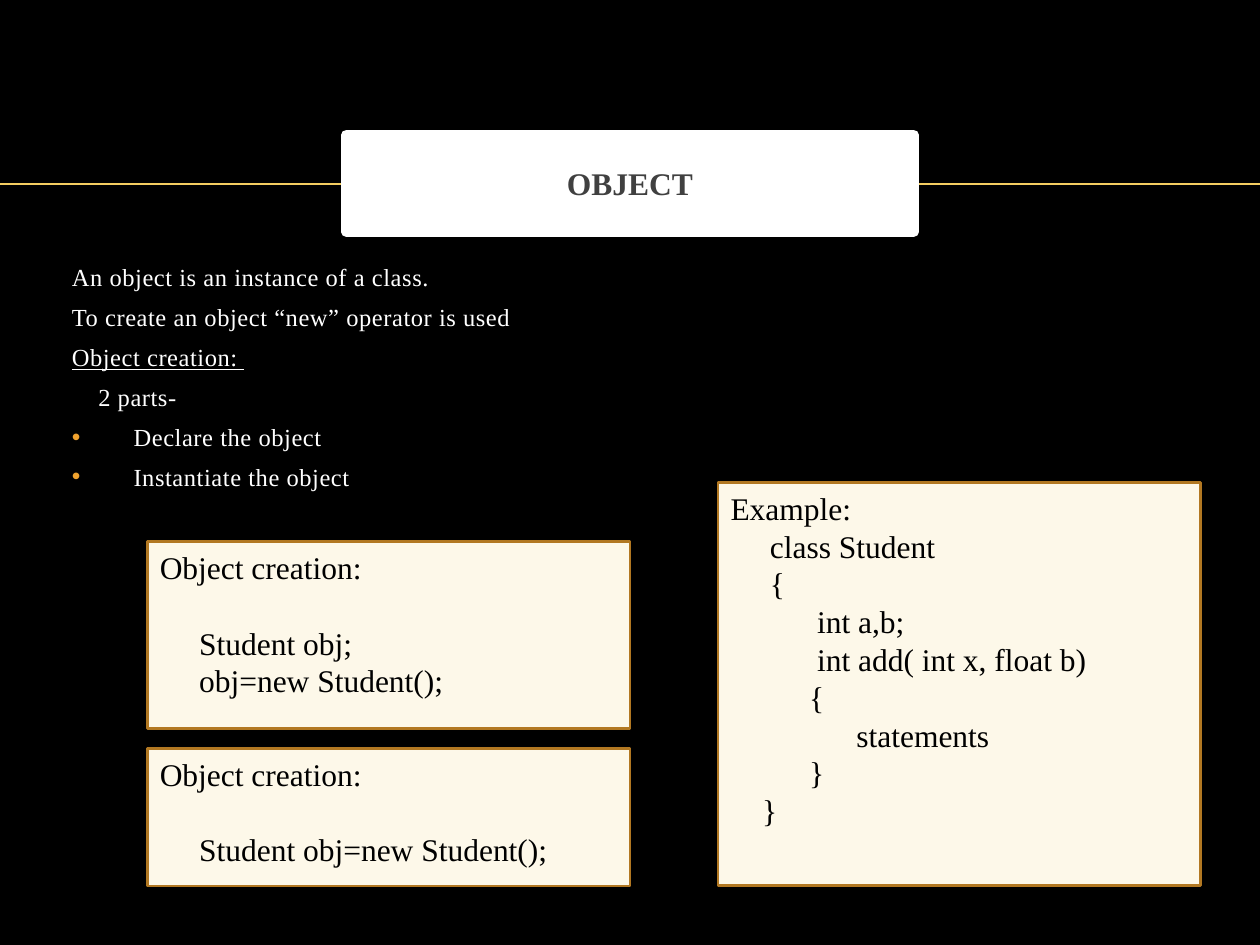
import pptx
import pptx.util
import pptx.dml.color
import pptx.enum.shapes
import pptx.enum.text
import pptx.oxml.ns
from lxml import etree

HUES = {"back": "000000", "gold": "F3CD60", "white": "FFFFFF", "title": "404040",
        "bullet": "F0A22E", "cream": "FDF8E9", "edge": "B27822", "ink": "000000"}
COLS, ROWS = 100, 75
BOX_COLS, LEFT, RIGHT, BASE = 38.3, 11.7, 57, 70.3

FACTS = [
    # text, indent in inches, underlined, bulleted
    ("An object is an instance of a class.", 0, False, False),
    ("To create an object “new” operator is used", 0, False, False),
    ("Object creation: ", 0, True, False),
    ("2 parts-", 0.21, False, False),
    ("Declare the object", 0.49, False, True),
    ("Instantiate the object", 0.49, False, True),
]

EXAMPLE = """Example:
     class Student
     {
           int a,b;
           int add( int x, float b)
          {
                statements
          }
    }"""
TWO_STEP = """Object creation:
     Student obj;
     obj=new Student();"""
ONE_STEP = """Object creation:
     Student obj=new Student();"""


def tint(name):
    return pptx.dml.color.RGBColor.from_string(HUES[name])


class Deck:
    def __init__(self):
        self.file = pptx.Presentation()
        self.file.slide_width = pptx.util.Inches(10)
        self.file.slide_height = pptx.util.Inches(7.5)
        self.page = self.file.slides.add_slide(self.file.slide_layouts[1])
        fill = self.page.background.fill
        fill.solid()
        fill.fore_color.rgb = tint("back")

    def span(self, *cells):
        """Turn column, row pairs of the grid into slide lengths."""
        units = (self.file.slide_width / COLS, self.file.slide_height / ROWS)
        return [round(cell * units[i % 2]) for i, cell in enumerate(cells)]

    def place(self, shape, *cells):
        shape.left, shape.top, shape.width, shape.height = self.span(*cells)

    def paint(self, shape, fill, line, width):
        shape.fill.solid()
        shape.fill.fore_color.rgb = tint(fill)
        shape.line.color.rgb = tint(line)
        shape.line.width = pptx.util.Pt(width)

    def style(self, para, size, hue, bold=False, under=False):
        for run in para.runs:
            font = run.font
            font.name, font.size = "Times New Roman", pptx.util.Pt(size)
            font.bold, font.underline = bold, under
            font.color.rgb = tint(hue)

    def rule(self, row):
        """Draw a line across the slide, behind everything else."""
        line = self.page.shapes.add_connector(
            pptx.enum.shapes.MSO_CONNECTOR.STRAIGHT, *self.span(0, row, COLS, row))
        line.line.color.rgb = tint("gold")
        line.line.width = pptx.util.Pt(1)
        etree.SubElement(line._element.spPr, pptx.oxml.ns.qn("a:effectLst"))
        self.page.shapes._spTree.insert(2, line._element)

    def title(self, text, *cells):
        shape = self.page.shapes.title
        self.place(shape, *cells)
        self.paint(shape, "white", "white", 6)
        frame = shape.text_frame
        frame.text = text
        frame.auto_size = pptx.enum.text.MSO_AUTO_SIZE.NONE
        frame.vertical_anchor = pptx.enum.text.MSO_ANCHOR.MIDDLE
        para = frame.paragraphs[0]
        para.alignment = pptx.enum.text.PP_ALIGN.CENTER
        self.style(para, 18, "title", bold=True)

    def mark(self, para, inset, bullet):
        """Set the indent of a paragraph and its bullet, if any."""
        props = para._p.get_or_add_pPr()
        room = pptx.util.Inches(inset)
        props.set("marL", str(room))
        props.set("indent", str(-room if bullet else 0))
        qn = pptx.oxml.ns.qn
        if bullet:
            hue = etree.SubElement(props, qn("a:buClr"))
            etree.SubElement(hue, qn("a:srgbClr")).set("val", HUES["bullet"])
            etree.SubElement(props, qn("a:buChar")).set("char", "•")
        else:
            etree.SubElement(props, qn("a:buNone"))

    def body(self, facts, *cells):
        shape = self.page.placeholders[1]
        self.place(shape, *cells)
        frame = shape.text_frame
        frame.text = "\n".join(fact[0] for fact in facts)
        frame.auto_size = pptx.enum.text.MSO_AUTO_SIZE.NONE
        for i, (para, fact) in enumerate(zip(frame.paragraphs, facts)):
            text, inset, under, bullet = fact
            self.mark(para, inset, bullet)
            para.space_before = pptx.util.Pt(6 if i else 0)
            self.style(para, 14, "white", under=under)
            for run in para.runs:
                run._r.get_or_add_rPr().set("spc", "30")

    def code(self, text, left, top, gap=0):
        """Add a code box down to the base row, with a gap below its heading."""
        shape = self.page.shapes.add_shape(
            pptx.enum.shapes.MSO_SHAPE.FLOWCHART_PROCESS,
            *self.span(left, top, BOX_COLS, BASE - top))
        shape.shadow.inherit = False
        self.paint(shape, "cream", "edge", 1.5)
        frame = shape.text_frame
        frame.text = text
        frame.word_wrap = True
        frame.vertical_anchor = pptx.enum.text.MSO_ANCHOR.TOP
        for i, para in enumerate(frame.paragraphs):
            para.alignment = pptx.enum.text.PP_ALIGN.LEFT
            para.space_before = pptx.util.Pt(gap if i == 1 else 0)
            self.style(para, 18, "ink")
        return shape


def main():
    deck = Deck()
    deck.rule(14.6)
    deck.title("OBJECT", 27.5, 10.7, 45, 7.7)
    deck.body(FACTS, 4.7, 20.3, 90, 15.4)
    deck.code(EXAMPLE, RIGHT, 38.3)
    steps = deck.code(TWO_STEP, LEFT, 43, gap=21.6)
    deck.place(steps, LEFT, 43, BOX_COLS, 14.8)
    deck.code(ONE_STEP, LEFT, 59.4, gap=21.6)
    deck.file.save("out.pptx")


if __name__ == "__main__":
    main()
